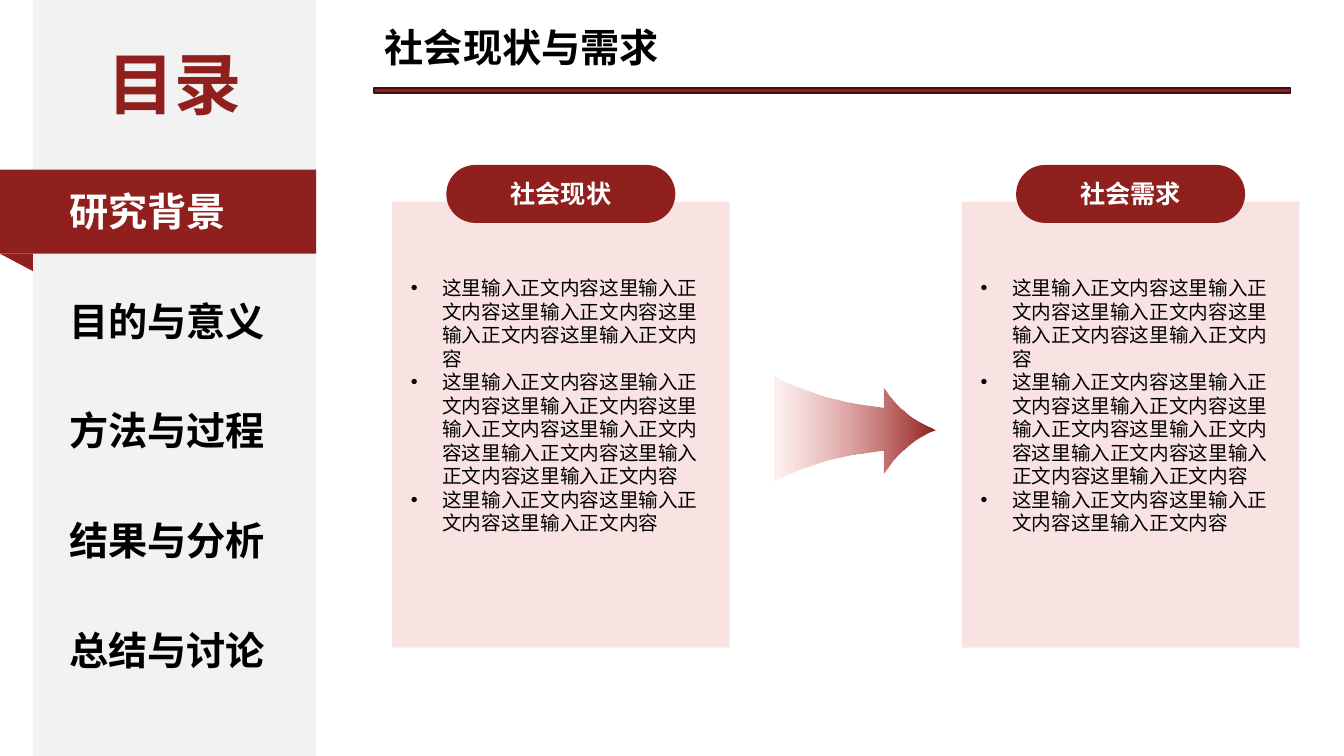
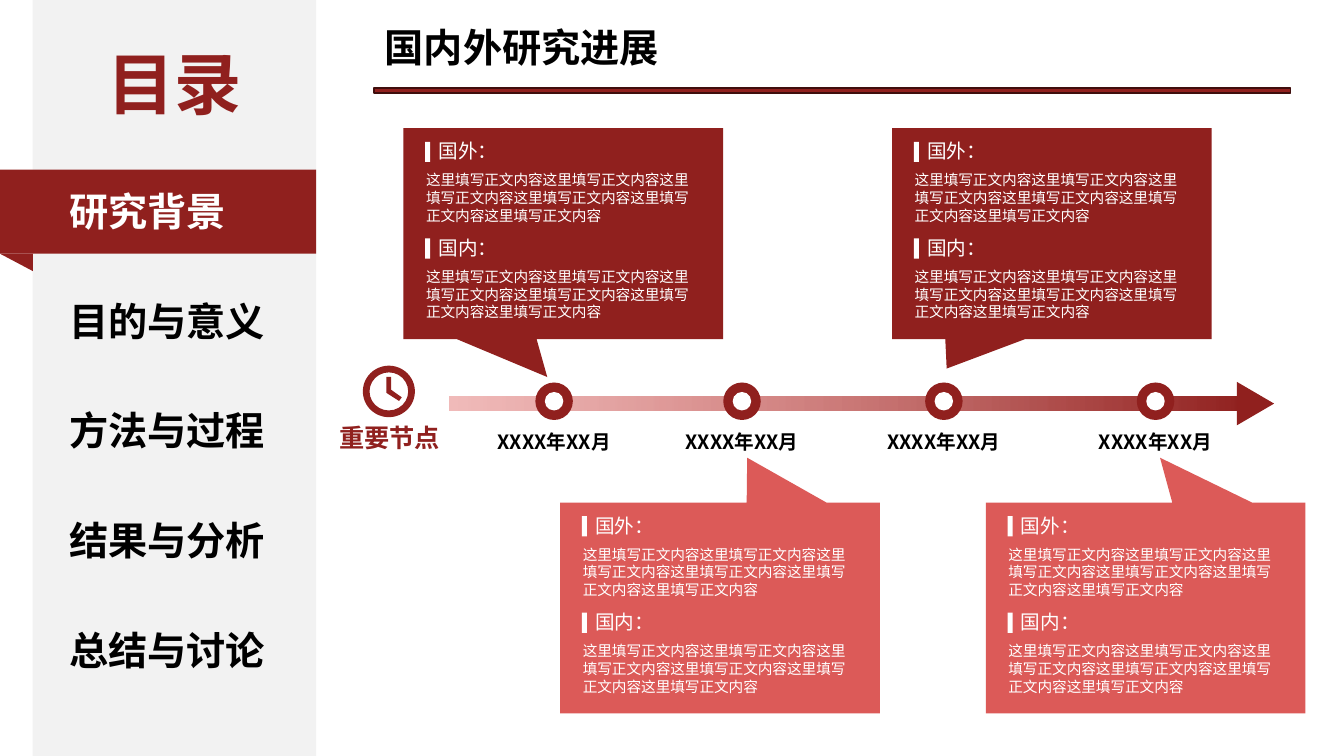
from lxml.etree import SubElement
from pptx import Presentation
from pptx.dml.color import RGBColor
from pptx.enum.shapes import MSO_SHAPE as SHAPE
from pptx.enum.text import MSO_ANCHOR as ANCHOR, MSO_AUTO_SIZE as AUTO_SIZE, PP_ALIGN as ALIGN
from pptx.oxml.ns import qn
from pptx.util import Pt

FONT = "Noto Sans CJK SC"
COLORS = {
    "red": "90201E", "dark_red": "3F0E0D", "coral": "DC5A58", "rose": "E27674",
    "pink": "F3C8C7", "grey": "F2F2F2", "white": "FFFFFF", "black": "000000",
}
SECTIONS = ["研究背景", "目的与意义", "方法与过程", "结果与分析", "总结与讨论"]
NAV_TOP, NAV_STEP = 130.4, 78.3
NODE_Y = 286.6


# Basic parts
def rgb(name):
    return RGBColor.from_string(COLORS[name])


def set_alpha(color_element, percent):
    SubElement(color_element, qn("a:alpha")).set("val", str(percent * 1000))


def paint(shape, color, alpha=None):
    shape.shadow.inherit = False
    shape.fill.solid()
    shape.fill.fore_color.rgb = rgb(color)
    shape.line.fill.background()
    if alpha:
        set_alpha(next(shape._element.spPr.iter(qn("a:srgbClr"))), alpha)


def paint_fade(shape, first_alpha):
    """Fade from translucent rose on the left to solid red on the right."""
    shape.shadow.inherit = False
    shape.line.fill.background()
    shape.fill.gradient()
    shape.fill.gradient_angle = 0
    for stop, color, position in zip(shape.fill.gradient_stops, ("rose", "red"), (0, 1)):
        stop.color.rgb = rgb(color)
        stop.position = position
    set_alpha(next(shape._element.spPr.iter(qn("a:srgbClr"))), first_alpha)


def add_block(page, kind, left, top, width, height, color, alpha=None):
    shape = page.shapes.add_shape(kind, Pt(left), Pt(top), Pt(width), Pt(height))
    paint(shape, color, alpha)
    return shape


def add_outline(page, left, top, points):
    spots = [(Pt(left + x), Pt(top + y)) for x, y in points]
    builder = page.shapes.build_freeform(*spots[0], scale=1.0)
    builder.add_line_segments(spots[1:], close=True)
    return builder.convert_to_shape()


def curve(start, pull_a, pull_b, end, steps=12):
    """Points along a cubic curve, without its start."""
    points = []
    for step in range(1, steps + 1):
        t = step / steps
        weights = ((1 - t) ** 3, 3 * t * (1 - t) ** 2, 3 * t * t * (1 - t), t ** 3)
        corners = (start, pull_a, pull_b, end)
        points.append(tuple(sum(w * c[axis] for w, c in zip(weights, corners))
                            for axis in (0, 1)))
    return points


def add_text(para, text, size, color, bold=False, align=ALIGN.LEFT):
    para.alignment = align
    span = para.add_run()
    span.text = text
    span.font.size = Pt(size)
    span.font.bold = bold
    span.font.color.rgb = rgb(color)
    span.font.name = FONT
    SubElement(span._r.get_or_add_rPr(), qn("a:ea")).set("typeface", FONT)


def add_bullet(para, indent):
    props = para._p.get_or_add_pPr()
    props.set("marL", str(Pt(indent)))
    props.set("indent", str(-Pt(indent)))
    SubElement(props, qn("a:buFont")).set("typeface", "Arial")
    SubElement(props, qn("a:buChar")).set("char", "•")


def add_frame(page, left, top, width, height):
    box = page.shapes.add_textbox(Pt(left), Pt(top), Pt(width), Pt(height))
    frame = box.text_frame
    frame.word_wrap = True
    frame.auto_size = AUTO_SIZE.SHAPE_TO_FIT_TEXT
    return frame


def add_label(page, left, top, width, height, text, size, color, **style):
    frame = add_frame(page, left, top, width, height)
    add_text(frame.paragraphs[0], text, size, color, **style)


# Regions shared by the slides
def add_sidebar(page, active):
    add_block(page, SHAPE.RECTANGLE, 23.4, 0, 202.4, 540, "grey")
    add_label(page, 54.7, 26.6, 139.7, 65.4, "目录", 48, "red", bold=True, align=ALIGN.CENTER)
    for index, section in enumerate(SECTIONS):
        top = NAV_TOP + index * NAV_STEP
        if index == active:
            add_block(page, SHAPE.RECTANGLE, 0, top - 9.2, 225.8, 60, "red")
            fold = add_block(page, SHAPE.RIGHT_TRIANGLE, 0, top + 50.8, 23.4, 12.4, "red")
            fold.rotation = 180
        color = "white" if index == active else "black"
        add_label(page, 42.5, top, 159, 41.2, section, 28, color, bold=True)


def add_title(page, title):
    rule = add_block(page, SHAPE.RECTANGLE, 267.2, 62.9, 654.8, 3.6, "red")
    rule.line.color.rgb = rgb("dark_red")
    rule.line.width = Pt(1)
    add_label(page, 267.8, 13, 355, 41.2, title, 28, "black", bold=True)


def add_page(deck, title):
    page = deck.slides.add_slide(deck.slide_layouts[6])
    add_sidebar(page, active=0)
    add_title(page, title)
    return page


# Situation and needs
def add_panel(page, left, top, heading, points):
    width, pill_width = 241.2, 163.6
    add_block(page, SHAPE.RECTANGLE, left, top, width, 318.6, "pink", alpha=50)
    pill = add_block(page, SHAPE.ROUNDED_RECTANGLE, left + (width - pill_width) / 2,
                     top - 26.2, pill_width, 41.4, "red")
    pill.adjustments[0] = 0.5
    pill.text_frame.vertical_anchor = ANCHOR.MIDDLE
    add_text(pill.text_frame.paragraphs[0], heading, 18, "white", bold=True, align=ALIGN.CENTER)
    frame = add_frame(page, left + 6.4, top + 49.6, 227.5, 211)
    for index, point in enumerate(points):
        para = frame.add_paragraph() if index else frame.paragraphs[0]
        add_bullet(para, 22.5)
        add_text(para, point, 14, "black")


def add_flared_arrow(page, left, top):
    tip, tail_top, tail_bottom = (115.2, 38.2), (0, 0), (0, 74.2)
    barb_top, barb_bottom = (77.8, 7.9), (77.8, 69.1)
    neck_top, neck_bottom = (62.6, 20.2), (63.4, 54.7)
    points = [tip, *curve(tip, (101.5, 31.7), (90.7, 26.6), barb_top),
              (77.8, 22.3), neck_top,
              *curve(neck_top, (41, 16.6), (19.4, 10.1), tail_top), tail_bottom,
              *curve(tail_bottom, (20.2, 64.8), (41.8, 57.6), neck_bottom),
              (77.8, 52.6), barb_bottom,
              *curve(barb_bottom, (90, 51.1), (104.4, 41.8), tip)]
    paint_fade(add_outline(page, left, top, points), 10)


def build_needs(deck):
    page = add_page(deck, "社会现状与需求")
    points = ["这里输入正文内容" * count for count in (5, 8, 3)]
    add_flared_arrow(page, 553, 269.3)
    for left, heading in ((280, "社会现状"), (687, "社会需求")):
        add_panel(page, left, 144, heading, points)


# Timeline of research
def add_clock(page, left, top):
    face = add_block(page, SHAPE.DONUT, left, top, 37.2, 36.8, "red")
    face.adjustments[0] = 0.13
    hands = [(16.8, 8), (20.2, 8), (20.2, 17.2), (27.8, 22.6), (25.9, 25.2), (16.8, 19.4)]
    paint(add_outline(page, left, top, hands), "red")
    add_label(page, left - 33.2, top + 36.7, 104.4, 29, "重要节点", 18, "red",
              bold=True, align=ALIGN.CENTER)


def add_rail(page, left, top):
    rail = add_block(page, SHAPE.RECTANGLE, left, top, 573.8, 10.4, "red")
    paint_fade(rail, 50)
    head = add_block(page, SHAPE.ISOSCELES_TRIANGLE, left + 560.3, top - 8, 31, 26.6, "red")
    head.rotation = 90


def add_node(page, center):
    for size, color in ((26.8, "red"), (13.2, "white")):
        add_block(page, SHAPE.OVAL, center - size / 2, NODE_Y - size / 2, size, size, color)
    add_label(page, center - 62.6, NODE_Y + 17, 125.2, 24.2, "XXXX年XX月", 14, "black",
              bold=True, align=ALIGN.CENTER)


def add_callout(page, left, top, color, tip):
    callout = add_block(page, SHAPE.RECTANGULAR_CALLOUT, left, top, 228.3, 150.6, color)
    callout.adjustments[0], callout.adjustments[1] = tip
    for index, heading in enumerate(("国外：", "国内：")):
        start = top + index * 69
        add_label(page, left + 18, start + 4.2, 64, 24.2, heading, 14, "white")
        add_block(page, SHAPE.RECTANGLE, left + 15.5, start + 9.7, 3.6, 14.4, "white")
        add_label(page, left + 9, start + 27.2, 209.5, 45.4, "这里填写正文内容" * 6, 10.5, "white")


def build_timeline(deck):
    page = add_page(deck, "国内外研究进展")
    add_clock(page, 259.2, 261.2)
    add_rail(page, 321, 283)
    upper, lower = (91.6, "red"), (359, "coral")
    milestones = [
        (395.8, 288.2, upper, (-0.05, 0.68)),
        (530, 400.2, lower, (0.085, -0.713)),
        (674.2, 637.2, upper, (-0.329, 0.64)),
        (825.4, 704.2, lower, (0.045, -0.713)),
    ]
    for center, left, (top, color), tip in milestones:
        add_node(page, center)
        add_callout(page, left, top, color, tip)


def main():
    deck = Presentation()
    deck.slide_width, deck.slide_height = Pt(960), Pt(540)
    build_needs(deck)
    build_timeline(deck)
    deck.save("out.pptx")


if __name__ == "__main__":
    main()
